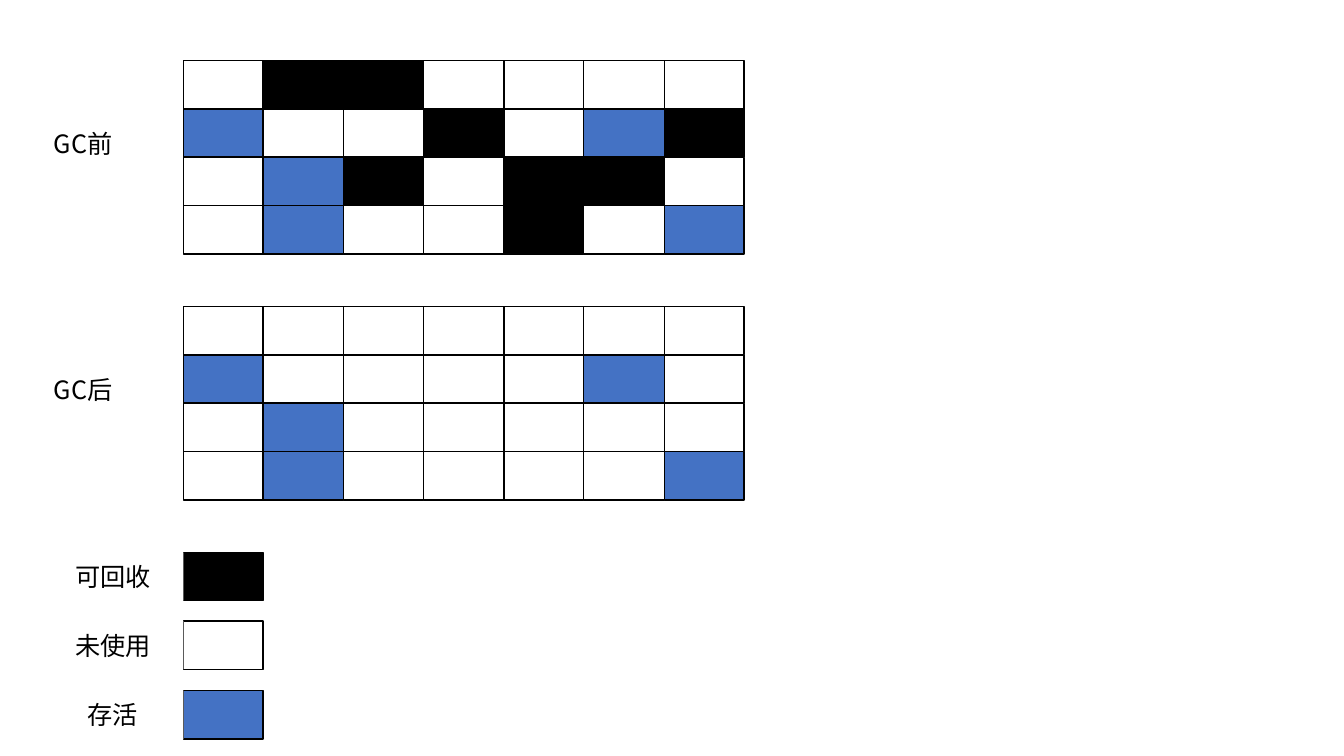
from dataclasses import dataclass
from enum import Enum

from lxml.etree import SubElement
from pptx import Presentation
from pptx.dml.color import RGBColor
from pptx.enum.shapes import MSO_SHAPE
from pptx.enum.text import MSO_ANCHOR, PP_ALIGN
from pptx.oxml.ns import qn
from pptx.util import Pt

EMU_PER_PX = 9144  # 100 px to the inch


@dataclass(frozen=True)
class Theme:
    font: str = "Noto Sans CJK SC"
    label_size: int = 18
    line_width: int = 1
    black: str = "000000"
    white: str = "FFFFFF"
    blue: str = "4472C4"


THEME = Theme()


class State(Enum):
    """Fill colour of each memory block state."""
    RECLAIMABLE = THEME.black
    UNUSED = THEME.white
    ALIVE = THEME.blue


@dataclass(frozen=True)
class Box:
    left: int
    top: int
    width: int
    height: int


@dataclass(frozen=True)
class Heap:
    label: str
    top: int
    rows: tuple[str, ...]


@dataclass(frozen=True)
class LegendEntry:
    label: str
    state: State
    top: int


CODES = {"#": State.RECLAIMABLE, ".": State.UNUSED, "o": State.ALIVE}
HEAPS = (
    Heap("GC前", 60, (".##....",
                     "o..#.o#",
                     ".o#.##.",
                     ".o..#.o")),
    Heap("GC后", 304, (".......",
                      "o....o.",
                      ".o.....",
                      ".o....o")),
)
LEGEND = (
    LegendEntry("可回收", State.RECLAIMABLE, 548),
    LegendEntry("未使用", State.UNUSED, 616),
    LegendEntry("存活", State.ALIVE, 685),
)
GRID_LEFT, GRID_WIDTH, COLUMNS = 182, 556, 7
CELL_WIDTH, CELL_HEIGHT = 79, 48


def px(n: int) -> int:
    return n * EMU_PER_PX


def add_rect(slide, box: Box, fill: str, outlined: bool = True):
    sp = slide.shapes.add_shape(MSO_SHAPE.RECTANGLE, px(box.left), px(box.top),
                                px(box.width), px(box.height))
    sp.shadow.inherit = False
    sp.fill.solid()
    sp.fill.fore_color.rgb = RGBColor.from_string(fill)
    if outlined:
        sp.line.color.rgb = RGBColor.from_string(THEME.black)
        sp.line.width = Pt(THEME.line_width)
    else:
        sp.line.fill.background()
    return sp


def set_text(sp, text: str, *, size: int = THEME.label_size,
             color: str = THEME.black, font: str = THEME.font) -> None:
    tf = sp.text_frame
    tf.word_wrap = True
    tf.vertical_anchor = MSO_ANCHOR.MIDDLE
    p = tf.paragraphs[0]
    p.alignment = PP_ALIGN.CENTER
    r = p.add_run()
    r.text = text
    r.font.size = Pt(size)
    r.font.color.rgb = RGBColor.from_string(color)
    r.font.name = font
    SubElement(r.font._element, qn("a:ea")).set("typeface", font)


def add_label(slide, text: str, box: Box) -> None:
    set_text(add_rect(slide, box, THEME.white, outlined=False), text)


def column_edge(column: int) -> int:
    return GRID_LEFT + round(column * GRID_WIDTH / COLUMNS)


def draw_heap(slide, heap: Heap) -> None:
    for i, row in enumerate(heap.rows):
        for j, code in enumerate(row):
            left = column_edge(j)
            box = Box(left, heap.top + i * CELL_HEIGHT,
                      column_edge(j + 1) - left, CELL_HEIGHT)
            add_rect(slide, box, CODES[code].value)
    add_label(slide, heap.label, Box(23, heap.top + CELL_HEIGHT, 119, 68))


def draw_legend_entry(slide, entry: LegendEntry) -> None:
    add_rect(slide, Box(GRID_LEFT, entry.top, CELL_WIDTH, CELL_HEIGHT),
             entry.state.value)
    add_label(slide, entry.label, Box(42, entry.top, 140, CELL_HEIGHT))


def main() -> None:
    prs = Presentation()
    prs.slide_width, prs.slide_height = px(1333), px(750)
    slide = prs.slides.add_slide(prs.slide_layouts[6])
    for heap in HEAPS:
        draw_heap(slide, heap)
    for entry in LEGEND:
        draw_legend_entry(slide, entry)
    prs.save("out.pptx")


if __name__ == "__main__":
    main()
